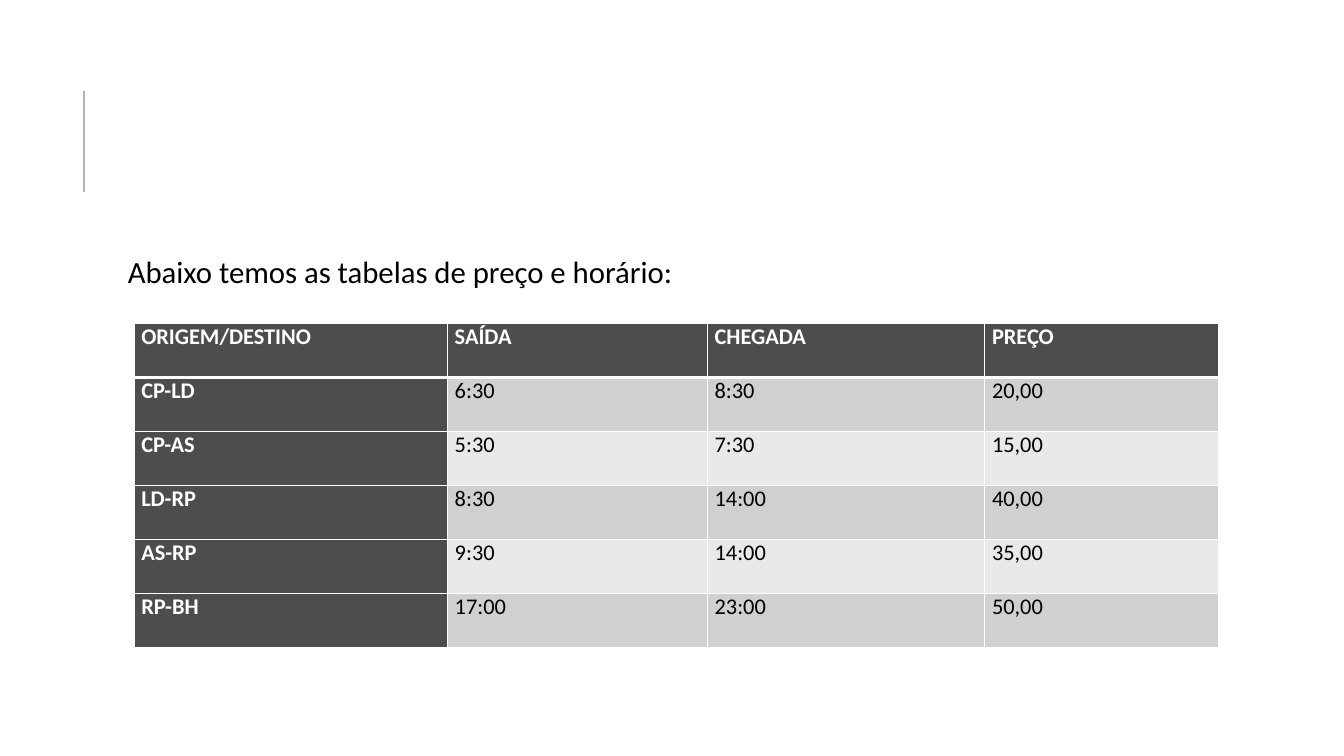
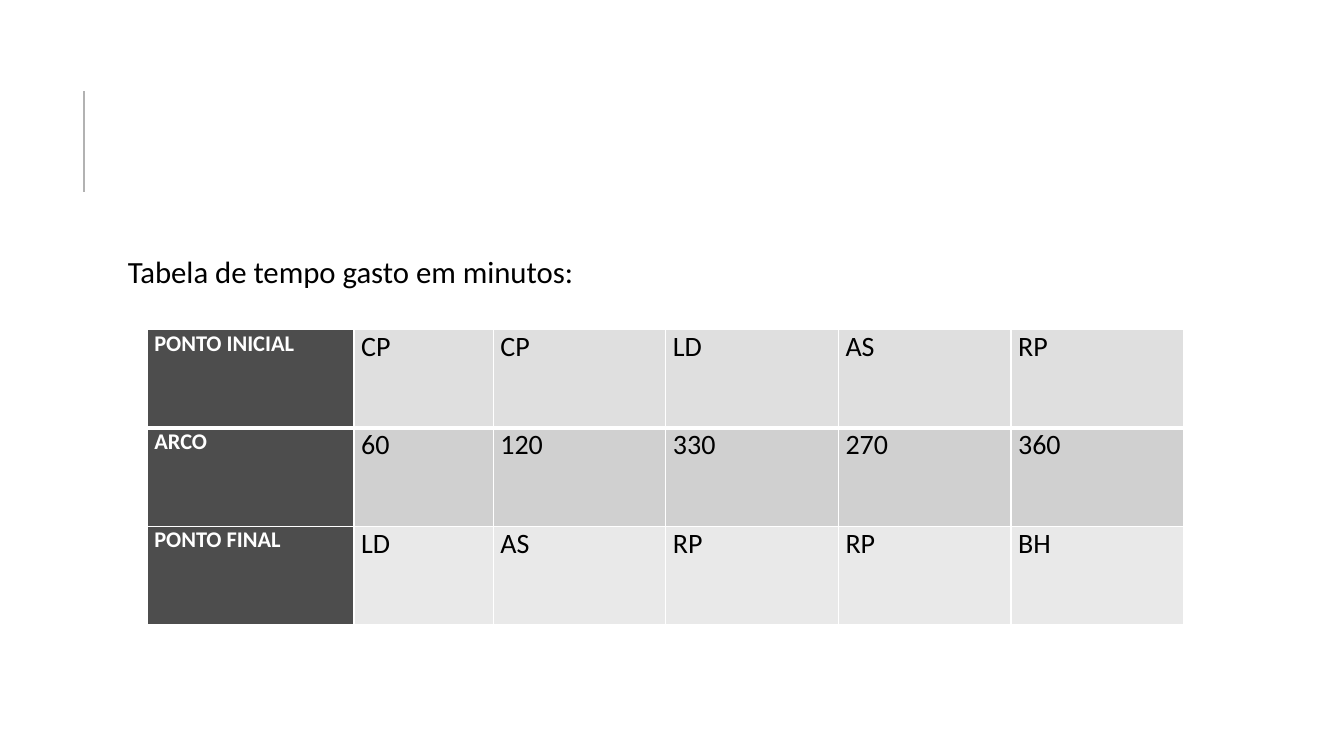
from lxml import etree
from pptx import Presentation
from pptx.dml.color import RGBColor
from pptx.enum import shapes, text
from pptx.oxml import ns
from pptx.util import Cm, Pt

# Shared style
WHITE = RGBColor(0xFF, 0xFF, 0xFF)
BLACK = RGBColor(0, 0, 0)
DARK = RGBColor(0x4D, 0x4D, 0x4D)
RULE = RGBColor(0xB2, 0xB2, 0xB2)
TOP = RGBColor(0xDF, 0xDF, 0xDF)
BANDS = (RGBColor(0xD0, 0xD0, 0xD0), RGBColor(0xE9, 0xE9, 0xE9))
FONT = "Calibri"
HEAD = {"name": FONT, "size": Pt(16), "bold": True}
BODY = {"name": FONT, "bold": False}
LEAD = {"name": FONT, "size": Pt(22)}
CELL = {"alignment": text.PP_ALIGN.JUSTIFY,
        "space_before": Pt(3), "space_after": Pt(3)}
PARA = {"line_spacing": 0.9, "space_before": Pt(12), "space_after": Pt(2)}
INSET = {"margin_left": Cm(0.18), "margin_right": Cm(0.18),
         "margin_top": 0, "margin_bottom": 0}
FRAME = {**dict.fromkeys(("margin_left", "margin_right", "margin_top",
                          "margin_bottom"), Cm(0.13)),
         "word_wrap": True, "auto_size": text.MSO_AUTO_SIZE.NONE,
         "vertical_anchor": text.MSO_ANCHOR.TOP}


def apply(item, form):
    for key, value in form.items():
        setattr(item, key, value)


class Deck:
    def __init__(self):
        self.prs = Presentation()
        self.prs.slide_width, self.prs.slide_height = Cm(33.87), Cm(19.05)

    def page(self, lead):
        """Add a slide with its side rule and lead text."""
        self.slide = self.prs.slides.add_slide(self.prs.slide_layouts[1])
        title = self.slide.shapes.title.element
        title.getparent().remove(title)
        self.rule(2.11, 4.83, 2.29)
        self.lead(lead)

    def rule(self, x, start, end):
        line = self.slide.shapes.add_connector(
            shapes.MSO_CONNECTOR.STRAIGHT, Cm(x), Cm(start), Cm(x), Cm(end))
        line.line.color.rgb = RULE
        line.line.width = Pt(1.5)
        etree.SubElement(line.element.spPr, ns.qn("a:effectLst"))

    def label(self, para, words, form, color):
        run = para.add_run()
        run.text = words
        apply(run.font, form)
        run.font.color.rgb = color

    def lead(self, words):
        box = self.slide.placeholders[1]
        apply(box, {"left": Cm(2.84), "top": Cm(6.35),
                    "width": Cm(27), "height": Cm(11.18)})
        apply(box.text_frame, FRAME)
        para = box.text_frame.paragraphs[0]
        apply(para, PARA)
        self.label(para, words, LEAD, BLACK)
        # Indented without a visible bullet
        props = para._p.get_or_add_pPr()
        props.set("marL", str(Cm(0.25)))
        props.set("indent", "0")
        etree.SubElement(props, ns.qn("a:buNone"))

    def edges(self, cell, row):
        """White borders, thicker below the first row."""
        props = cell._tc.get_or_add_tcPr()
        wide = {"T": 3 if row == 1 else 1, "B": 3 if row == 0 else 1}
        for spot, side in enumerate("LRTB"):
            edge = etree.Element(ns.qn(f"a:ln{side}"),
                                 w=str(Pt(wide.get(side, 1))))
            fill = etree.SubElement(edge, ns.qn("a:solidFill"))
            etree.SubElement(fill, ns.qn("a:srgbClr"), val=str(WHITE))
            props.insert(spot, edge)

    def table(self, left, top, cols, high, rows, size, header):
        grid = self.slide.shapes.add_table(
            len(rows), len(cols), Cm(left), Cm(top),
            Cm(sum(cols)), Cm(high * len(rows))).table
        for col, width in zip(grid.columns, cols):
            col.width = Cm(width)
        for r, row in enumerate(rows):
            grid.rows[r].height = Cm(high)
            for c, words in enumerate(row):
                cell = grid.cell(r, c)
                bold = c == 0 or (header and r == 0)
                band = BANDS[(r - 1) % 2] if r else TOP
                apply(cell, INSET)
                cell.fill.solid()
                cell.fill.fore_color.rgb = DARK if bold else band
                self.edges(cell, r)
                para = cell.text_frame.paragraphs[0]
                apply(para, CELL)
                form = HEAD if bold else {**BODY, "size": Pt(size)}
                self.label(para, words, form, WHITE if bold else BLACK)


deck = Deck()

# Slide 1: prices and times
deck.page("Abaixo temos as tabelas de preço e horário:")
deck.table(3.38, 8.15, (7.9, 6.55, 6.99, 5.89), 1.36, (
    ("ORIGEM/DESTINO", "SAÍDA", "CHEGADA", "PREÇO"),
    ("CP-LD", "6:30", "8:30", "20,00"),
    ("CP-AS", "5:30", "7:30", "15,00"),
    ("LD-RP", "8:30", "14:00", "40,00"),
    ("AS-RP", "9:30", "14:00", "35,00"),
    ("RP-BH", "17:00", "23:00", "50,00"),
), size=16, header=True)

# Slide 2: minutes per arc
deck.page("Tabela de tempo gasto em minutos:")
deck.table(3.71, 8.31, (5.21, 3.51) + (4.35,) * 4, 2.48, (
    ("PONTO INICIAL", "CP", "CP", "LD", "AS", "RP"),
    ("ARCO", "60", "120", "330", "270", "360"),
    ("PONTO FINAL", "LD", "AS", "RP", "RP", "BH"),
), size=20, header=False)

deck.prs.save("out.pptx")
